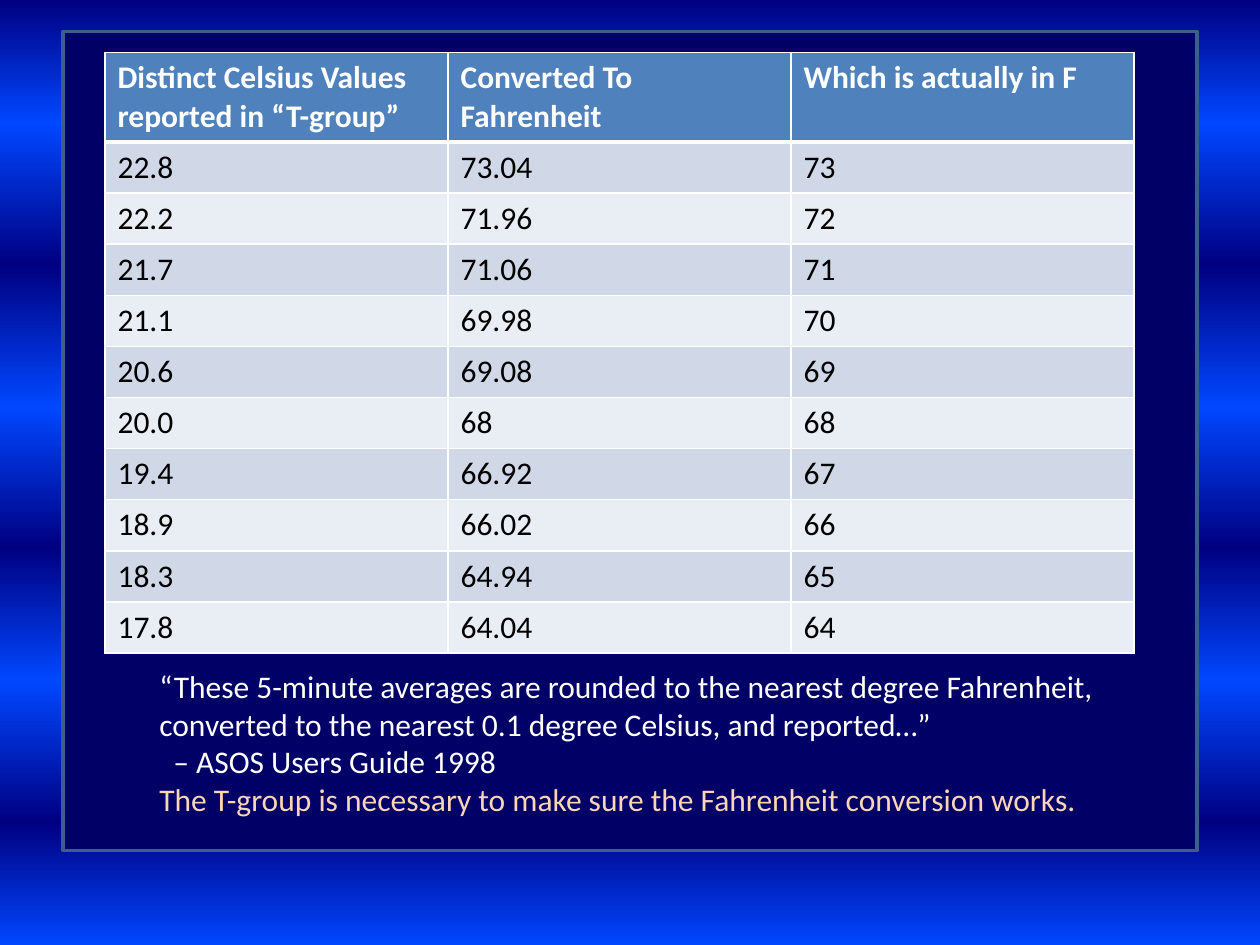
from typing import NamedTuple

from lxml import etree
from pptx import Presentation
from pptx.dml.color import RGBColor
from pptx.enum.shapes import MSO_SHAPE
from pptx.enum.text import MSO_AUTO_SIZE
from pptx.oxml.ns import qn
from pptx.util import Pt

RECTANGLE = MSO_SHAPE.RECTANGLE
FIT_TO_TEXT = MSO_AUTO_SIZE.SHAPE_TO_FIT_TEXT

FONT = "Calibri"
FONT_SIZE = 18
WHITE, BLACK = "FFFFFF", "000000"
NAVY, BLUE = "000082", "0047FF"
HEADER_FILL = "4F81BD"
BAND_FILLS = ("D0D8E8", "E9EDF4")
COLUMN_WIDTH = 196
HEADER_HEIGHT, ROW_HEIGHT = 51, 29.2


class Reading(NamedTuple):
    celsius: str
    converted: str
    actual: str


class Remark(NamedTuple):
    text: str
    color: str = WHITE
    indent: float = 0


HEADINGS = Reading(
    "Distinct Celsius Values reported in “T-group”",
    "Converted To Fahrenheit",
    "Which is actually in F",
)
READINGS = [
    Reading("22.8", "73.04", "73"),
    Reading("22.2", "71.96", "72"),
    Reading("21.7", "71.06", "71"),
    Reading("21.1", "69.98", "70"),
    Reading("20.6", "69.08", "69"),
    Reading("20.0", "68", "68"),
    Reading("19.4", "66.92", "67"),
    Reading("18.9", "66.02", "66"),
    Reading("18.3", "64.94", "65"),
    Reading("17.8", "64.04", "64"),
]
REMARKS = [
    Remark("“These 5-minute averages are rounded to the nearest degree Fahrenheit, "
           "converted to the nearest 0.1 degree Celsius, and reported…”"),
    Remark("– ASOS Users Guide 1998", indent=8),
    Remark("The T-group is necessary to make sure the Fahrenheit conversion works.", "FCD5B5"),
]
GRADIENT_POSITIONS = (0, 13, 28, 43, 58, 72, 87, 100)


def rgb(color: str) -> RGBColor:
    return RGBColor.from_string(color)


def add_run(paragraph, text: str, color: str, bold: bool = False) -> None:
    run = paragraph.add_run()
    run.text = text
    run.font.name = FONT
    run.font.size = Pt(FONT_SIZE)
    run.font.bold = bold
    run.font.color.rgb = rgb(color)


def paint_background(slide) -> None:
    fill = slide.background.fill
    fill.gradient()
    fill.gradient_angle = 270
    stops = next(slide.element.iter(qn("a:gsLst")))
    for stop in list(stops):
        stops.remove(stop)
    for index, position in enumerate(GRADIENT_POSITIONS):
        stop = etree.SubElement(stops, qn("a:gs"), pos=str(position * 1000))
        etree.SubElement(stop, qn("a:srgbClr"), val=(NAVY, BLUE)[index % 2])


def add_panel(slide) -> None:
    panel = slide.shapes.add_shape(RECTANGLE, Pt(36), Pt(18), Pt(648), Pt(468))
    panel.shadow.inherit = False
    panel.fill.solid()
    panel.fill.fore_color.rgb = rgb("000066")
    panel.line.color.rgb = rgb("3A5F8C")
    panel.line.width = Pt(2)


def set_borders(cell, top: float, bottom: float) -> None:
    properties = cell._tc.get_or_add_tcPr()
    for side, width in (("L", 1), ("R", 1), ("T", top), ("B", bottom)):
        line = etree.SubElement(properties, qn(f"a:ln{side}"), w=str(Pt(width)))
        solid = etree.SubElement(line, qn("a:solidFill"))
        etree.SubElement(solid, qn("a:srgbClr"), val=WHITE)


def add_readings_table(slide) -> None:
    rows = [HEADINGS, *READINGS]
    column_count = len(HEADINGS)
    height = HEADER_HEIGHT + ROW_HEIGHT * len(READINGS)
    table = slide.shapes.add_table(
        len(rows), column_count, Pt(60), Pt(30), Pt(COLUMN_WIDTH * column_count), Pt(height)
    ).table
    for column in table.columns:
        column.width = Pt(COLUMN_WIDTH)
    for row_index, reading in enumerate(rows):
        is_header = row_index == 0
        table.rows[row_index].height = Pt(HEADER_HEIGHT if is_header else ROW_HEIGHT)
        fill = HEADER_FILL if is_header else BAND_FILLS[(row_index - 1) % 2]
        for column_index, value in enumerate(reading):
            cell = table.cell(row_index, column_index)
            # A heavier rule separates the header from the readings
            set_borders(cell, top=3 if row_index == 1 else 1, bottom=3 if is_header else 1)
            cell.fill.solid()
            cell.fill.fore_color.rgb = rgb(fill)
            add_run(cell.text_frame.paragraphs[0], value, WHITE if is_header else BLACK, is_header)


def add_remarks(slide) -> None:
    frame = slide.shapes.add_textbox(Pt(84), Pt(377.5), Pt(598), Pt(94.5)).text_frame
    frame.word_wrap = True
    frame.auto_size = FIT_TO_TEXT
    for index, remark in enumerate(REMARKS):
        paragraph = frame.add_paragraph() if index else frame.paragraphs[0]
        if remark.indent:
            paragraph._p.get_or_add_pPr().set("marL", str(Pt(remark.indent)))
        add_run(paragraph, remark.text, remark.color)


def main() -> None:
    presentation = Presentation()
    presentation.slide_width, presentation.slide_height = Pt(720), Pt(540)
    slide = presentation.slides.add_slide(presentation.slide_layouts[6])

    # Backdrop
    paint_background(slide)
    add_panel(slide)

    # Temperature readings and the remarks below them
    add_readings_table(slide)
    add_remarks(slide)

    presentation.save("out.pptx")


if __name__ == "__main__":
    main()
